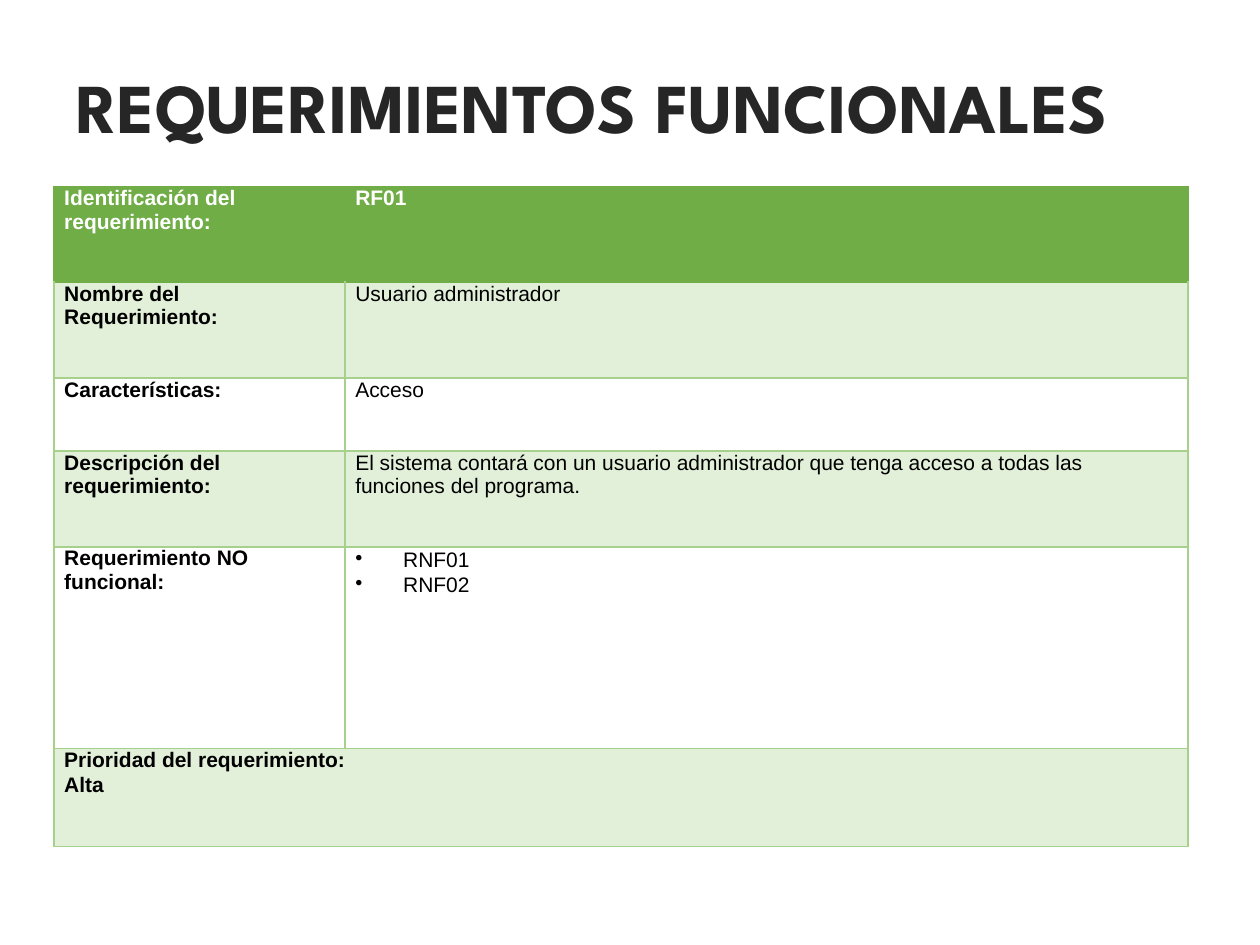
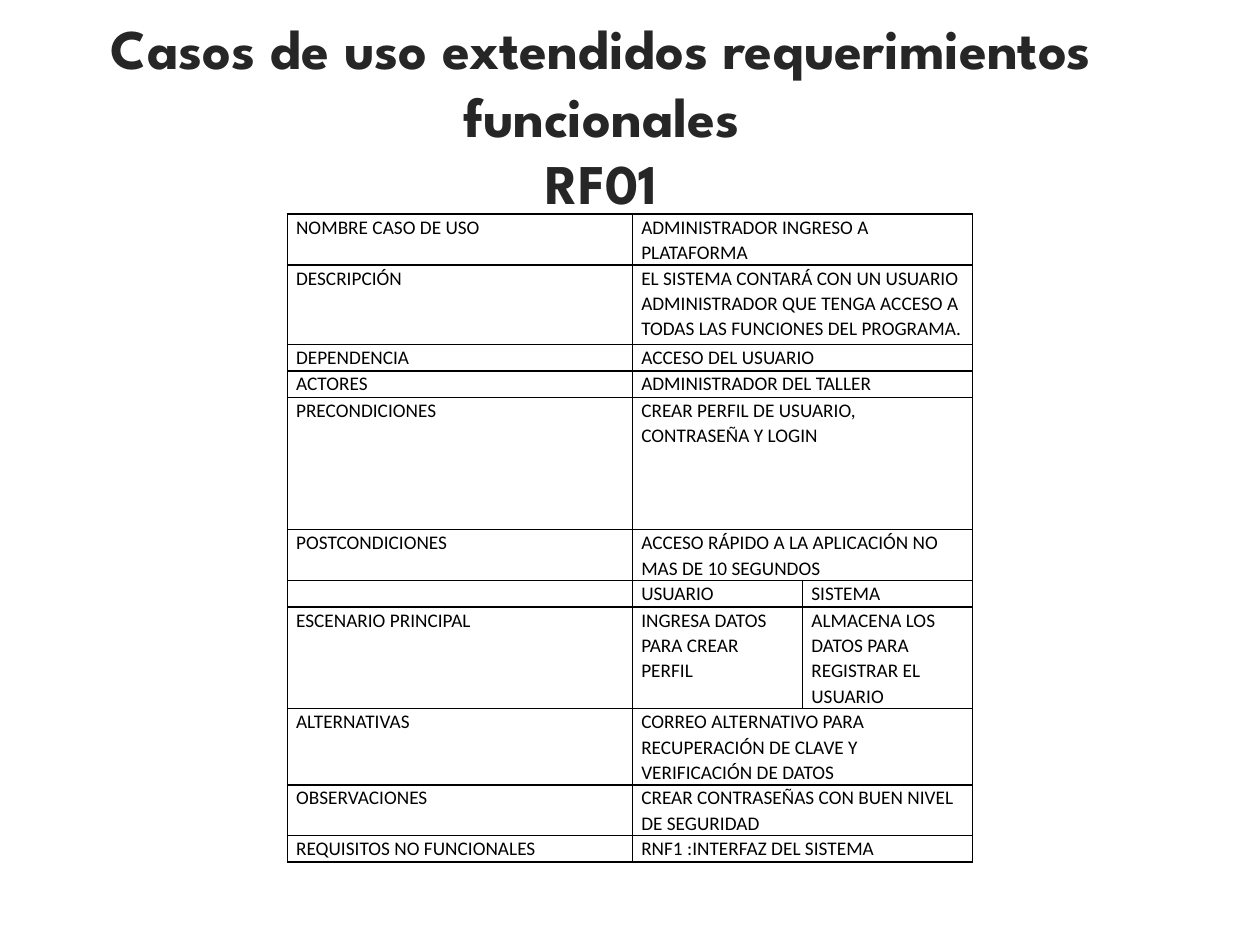
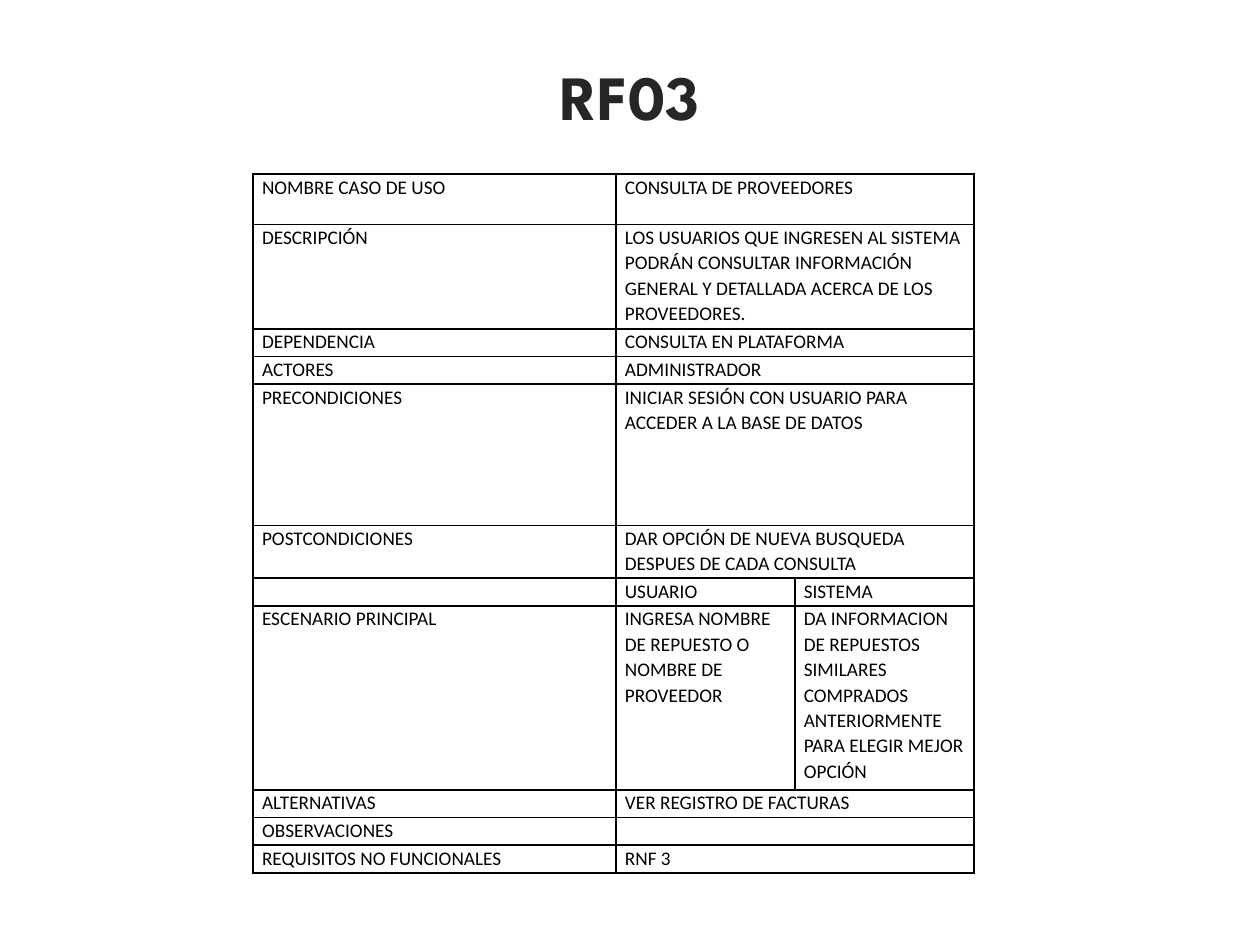
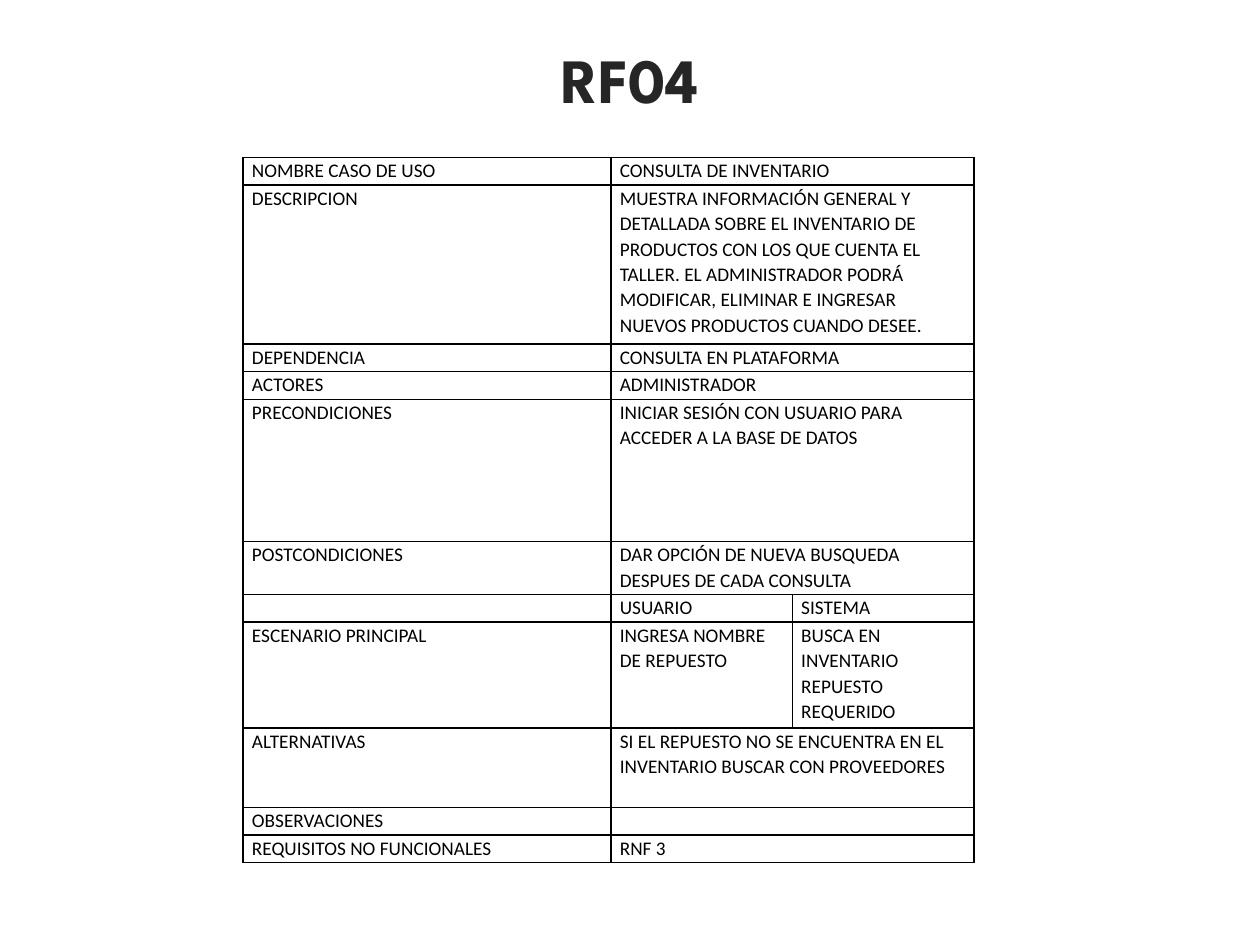
from lxml import etree
from pptx import Presentation
from pptx.dml.color import RGBColor
from pptx.enum import text
from pptx.oxml import ns
from pptx.util import Inches, Pt

BLACK = RGBColor(0x00, 0x00, 0x00)
WHITE = RGBColor(0xFF, 0xFF, 0xFF)
TITLE_GREY = RGBColor(0x26, 0x26, 0x26)
GREEN = RGBColor(0x70, 0xAD, 0x47)
PALE_GREEN = RGBColor(0xE2, 0xEF, 0xD9)
LINE_GREEN = RGBColor(0xA8, 0xD0, 0x8D)

TITLE_FONT = "League Spartan"
LOOSE = 1.07
TITLE_ONLY = 5

# First column shared by the use case tables
USE_CASE_LABELS = [
    "NOMBRE CASO DE USO", "DESCRIPCIÓN", "DEPENDENCIA", "ACTORES",
    "PRECONDICIONES", "POSTCONDICIONES", "", "ESCENARIO PRINCIPAL",
    "ALTERNATIVAS", "OBSERVACIONES", "REQUISITOS NO FUNCIONALES",
]


def add_line(parent, tag, color, points):
    line = etree.Element(ns.qn(tag), w=str(Pt(points)))
    fill = etree.SubElement(line, ns.qn("a:solidFill"))
    etree.SubElement(fill, ns.qn("a:srgbClr"), val=str(color))
    parent.insert(len(parent.findall(ns.qn("a:ln*"))), line)


class Deck:
    def __init__(self):
        self.prs = Presentation()
        self.prs.slide_width, self.prs.slide_height = Inches(10), Inches(7.5)
        self.slide = None

    def new_slide(self):
        self.slide = self.prs.slides.add_slide(
            self.prs.slide_layouts[TITLE_ONLY])

    def style(self, paragraph, name, size, color, bold=False):
        font = paragraph.font
        font.name, font.size, font.bold = name, Pt(size), bold
        font.color.rgb = color

    def title(self, lines, size, left, top, width=9, height=1.25):
        title = self.slide.shapes.title
        title.left, title.top = Inches(left), Inches(top)
        title.width, title.height = Inches(width), Inches(height)
        frame = title.text_frame
        frame.auto_size = text.MSO_AUTO_SIZE.NONE
        frame.vertical_anchor = text.MSO_ANCHOR.MIDDLE
        heading = frame.paragraphs[0]
        for i, line in enumerate(lines):
            if i:
                heading.add_line_break()
            heading.add_run().text = line
        heading.alignment = text.PP_ALIGN.CENTER
        self.style(heading, TITLE_FONT, size, TITLE_GREY, True)
        add_line(heading._p.pPr.find(ns.qn("a:defRPr")), "a:ln", WHITE, 0.75)

    def grid(self, left, top, widths, heights, rows):
        """Table whose short rows stretch their last value to the right."""
        table = self.slide.shapes.add_table(
            len(heights), len(widths), Inches(left), Inches(top),
            Inches(sum(widths)), Inches(sum(heights))).table
        table.first_row = table.horz_banding = False
        for column, width in zip(table.columns, widths):
            column.width = Inches(width)
        for row, height in zip(table.rows, heights):
            row.height = Inches(height)
        for r, values in enumerate(rows):
            if len(values) < len(widths):
                table.cell(r, len(values) - 1).merge(
                    table.cell(r, len(widths) - 1))
        return table

    def frame_cell(self, cell, inset, fill, sides):
        cell.margin_left = cell.margin_right = Inches(inset)
        cell.margin_top = cell.margin_bottom = 0
        if fill is None:
            cell.fill.background()
        else:
            cell.fill.solid()
            cell.fill.fore_color.rgb = fill
        # Each line goes in front, so the last one added comes first
        for side in reversed("LRTB"):
            add_line(cell._tc.tcPr, "a:ln" + side, sides[side], 1)

    def fill_cell(self, cell, value, font, size, color, bold, spacing):
        """A list gives bullets, a tuple gives plain paragraphs."""
        bulleted = isinstance(value, list)
        lines = [value] if isinstance(value, str) else value
        for i, line in enumerate(lines):
            frame = cell.text_frame
            paragraph = frame.add_paragraph() if i else frame.paragraphs[0]
            if line:
                paragraph.text = line
            else:
                etree.SubElement(paragraph._p, ns.qn("a:endParaRPr"),
                                 sz=str(size * 100))
            paragraph.line_spacing = LOOSE if bulleted or i else spacing
            if bulleted:
                self.bullet(paragraph)
            self.style(paragraph, font, size, color, bold)

    def bullet(self, paragraph):
        props = paragraph._p.get_or_add_pPr()
        props.set("marL", str(Inches(0.38)))
        props.set("indent", str(-Inches(0.38)))
        etree.SubElement(props, ns.qn("a:buChar"), char="•")
        tabs = etree.SubElement(props, ns.qn("a:tabLst"))
        etree.SubElement(tabs, ns.qn("a:tab"), pos=str(Inches(0.49)), algn="l")

    def requirement(self, left, top, widths, heights, rows):
        table = self.grid(left, top, widths, heights, rows)
        for r, values in enumerate(rows):
            header = r == 0
            fill = GREEN if header else PALE_GREEN if r % 2 else None
            sides = dict.fromkeys("LRTB", GREEN if header else LINE_GREEN)
            if r == 1:
                sides["T"] = GREEN
            for c in range(len(widths)):
                cell = table.cell(r, c)
                self.frame_cell(cell, 0.08, fill, sides)
                self.fill_cell(cell, values[c] if c < len(values) else "",
                               "Arial", 12, WHITE if header else BLACK,
                               header or c == 0, 1.0)

    def use_case(self, left, top, widths, heights, answers,
                 labels=USE_CASE_LABELS):
        rows = [(label, *(answer if isinstance(answer, tuple) else (answer,)))
                for label, answer in zip(labels, answers)]
        table = self.grid(left, top, widths, heights, rows)
        for r, values in enumerate(rows):
            for c in range(len(widths)):
                cell = table.cell(r, c)
                self.frame_cell(cell, 0.07, None, dict.fromkeys("LRTB", BLACK))
                self.fill_cell(cell, values[c] if c < len(values) else "",
                               "Calibri", 11, BLACK, False, LOOSE)


def main():
    deck = Deck()

    # Functional requirement RF01
    deck.new_slide()
    deck.title(["REQUERIMIENTOS FUNCIONALES"], 40, 0.2, 0.21)
    deck.requirement(0.43, 1.48, [2.31, 6.69],
                     [0.76, 0.76, 0.58, 0.76, 1.6, 0.78], [
        ("Identificación del requerimiento:", "RF01"),
        ("Nombre del Requerimiento:", "Usuario administrador"),
        ("Características:", "Acceso"),
        ("Descripción del requerimiento:",
         "El sistema contará con un usuario administrador que tenga acceso "
         "a todas las funciones del programa."),
        ("Requerimiento NO funcional:", ["RNF01", "RNF02"]),
        (("Prioridad del requerimiento:", "Alta"),),
    ])

    # Use case RF01
    deck.new_slide()
    deck.title(["Casos de uso extendidos requerimientos funcionales", "RF01"],
               32, 0.28, 0.11, 8.99, 1.6)
    deck.use_case(2.28, 1.7, [2.74, 1.35, 1.35],
                  [0.38, 0.63, 0.21, 0.21, 1.05, 0.38, 0.21, 0.75, 0.56,
                   0.38, 0.21], [
        "ADMINISTRADOR INGRESO A PLATAFORMA",
        "EL SISTEMA CONTARÁ CON UN USUARIO ADMINISTRADOR QUE TENGA ACCESO A "
        "TODAS LAS FUNCIONES DEL PROGRAMA.",
        "ACCESO DEL USUARIO",
        "ADMINISTRADOR DEL TALLER",
        "CREAR PERFIL DE USUARIO, CONTRASEÑA Y LOGIN",
        "ACCESO RÁPIDO A LA APLICACIÓN NO MAS DE 10 SEGUNDOS",
        ("USUARIO", "SISTEMA"),
        ("INGRESA DATOS PARA CREAR PERFIL",
         "ALMACENA LOS DATOS PARA REGISTRAR EL USUARIO"),
        "CORREO ALTERNATIVO PARA RECUPERACIÓN DE CLAVE Y VERIFICACIÓN DE "
        "DATOS",
        "CREAR CONTRASEÑAS CON BUEN NIVEL DE SEGURIDAD",
        "RNF1 :INTERFAZ DEL SISTEMA",
    ])

    # Answers shared by the two lookups
    platform = ["CONSULTA EN PLATAFORMA", "ADMINISTRADOR",
                "INICIAR SESIÓN CON USUARIO PARA ACCEDER A LA BASE DE DATOS",
                "DAR OPCIÓN DE NUEVA BUSQUEDA DESPUES DE CADA CONSULTA",
                ("USUARIO", "SISTEMA")]

    # Use case RF03
    deck.new_slide()
    deck.title(["RF03"], 36, 0.5, 0.13)
    deck.use_case(2.01, 1.38, [2.88, 1.42, 1.42],
                  [0.4, 0.83, 0.22, 0.22, 1.12, 0.42, 0.22, 1.46, 0.22,
                   0.22, 0.22], [
        "CONSULTA DE PROVEEDORES",
        "LOS USUARIOS QUE INGRESEN AL SISTEMA PODRÁN CONSULTAR INFORMACIÓN "
        "GENERAL Y DETALLADA ACERCA DE LOS PROVEEDORES.",
        *platform,
        ("INGRESA NOMBRE DE REPUESTO O NOMBRE DE PROVEEDOR",
         "DA INFORMACION DE REPUESTOS SIMILARES COMPRADOS ANTERIORMENTE "
         "PARA ELEGIR MEJOR OPCIÓN"),
        "VER REGISTRO DE FACTURAS",
        "",
        "RNF 3",
    ])

    # Use case RF04
    deck.new_slide()
    deck.title(["RF04"], 36, 0.5, 0)
    labels = ["DESCRIPCION" if label == "DESCRIPCIÓN" else label
              for label in USE_CASE_LABELS]
    deck.use_case(1.93, 1.25, [2.92, 1.44, 1.44],
                  [0.22, 1.26, 0.22, 0.22, 1.13, 0.42, 0.22, 0.84, 0.63,
                   0.22, 0.22], [
        "CONSULTA DE INVENTARIO",
        "MUESTRA INFORMACIÓN GENERAL Y DETALLADA SOBRE EL INVENTARIO DE "
        "PRODUCTOS CON LOS QUE CUENTA EL TALLER. EL ADMINISTRADOR PODRÁ "
        "MODIFICAR, ELIMINAR E INGRESAR NUEVOS PRODUCTOS CUANDO DESEE.",
        *platform,
        ("INGRESA NOMBRE DE REPUESTO",
         "BUSCA EN INVENTARIO REPUESTO REQUERIDO"),
        "SI EL REPUESTO NO SE ENCUENTRA EN EL INVENTARIO BUSCAR CON "
        "PROVEEDORES",
        "",
        "RNF 3",
    ], labels)

    deck.prs.save("out.pptx")


if __name__ == "__main__":
    main()
